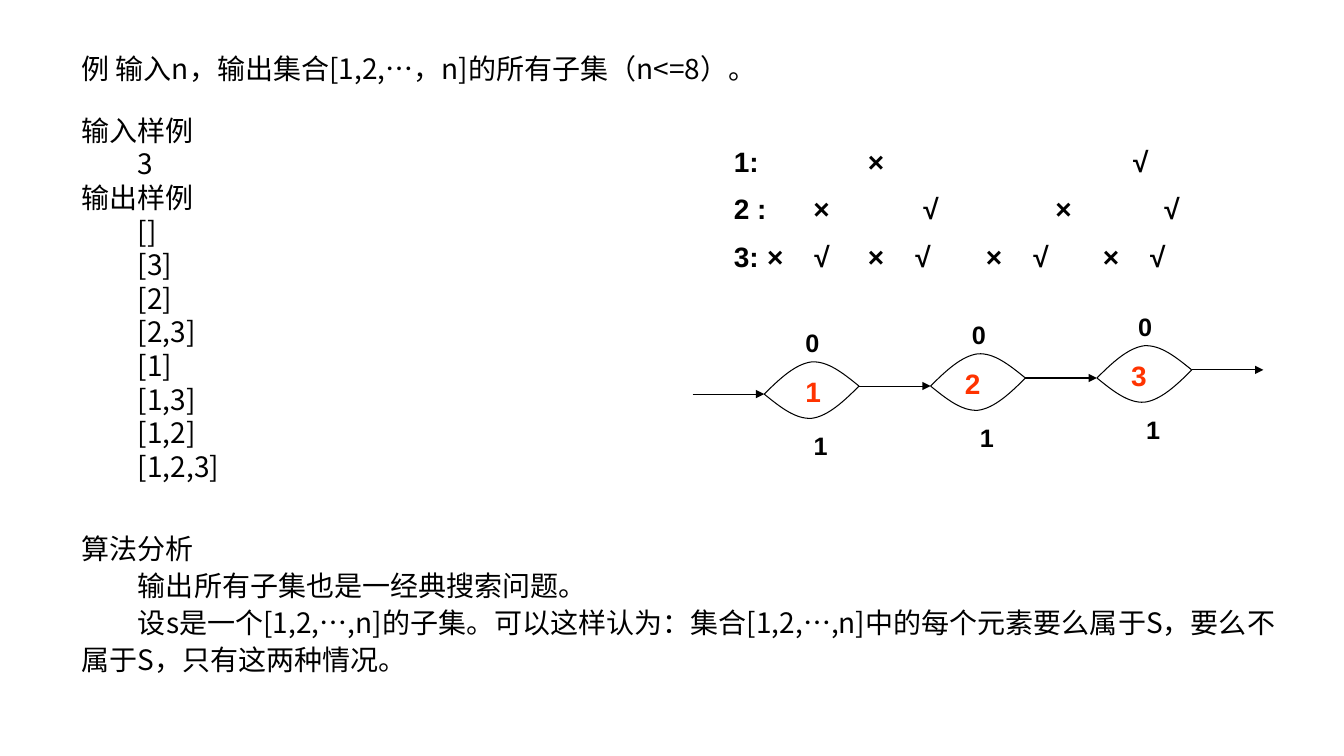
from lxml import etree
from pptx import Presentation, util as u
from pptx.dml.color import RGBColor
from pptx.enum import shapes
from pptx.oxml import ns

COLORS = {"ink": "000000", "item": "FF3300"}
CJK, LATIN = "Noto Sans CJK SC", "Arial"
LENS_WIDTH, LENS_RISE = 0.94, 0.08
LENS_LEFTS = [7.58, 9.23, 10.88]
LENS_LEVELS = [3.91, 3.83, 3.75]
LEAD = 0.71
# Two cubic curves from (0, 0): two control points and an end point each.
ARC = [
    [(0.15, -0.15), (0.31, -0.3), (0.47, -0.32)],
    [(0.63, -0.33), (0.78, -0.21), (0.94, -0.08)],
]
ARC_HEIGHT = 0.32

SAMPLE = [
    ("例 输入n，输出集合[1,2,…，n]的所有子集（n<=8）。", 0),
    ("输入样例", 0), ("3", 0.56), ("输出样例", 0),
    *[(subset, 0.56) for subset in
      ("[]", "[3]", "[2]", "[2,3]", "[1]", "[1,3]", "[1,2]", "[1,2,3]")],
]
ANALYSIS = [
    ("算法分析", 0),
    ("输出所有子集也是一经典搜索问题。", 0.56),
    ("设s是一个[1,2,…,n]的子集。可以这样认为：集合[1,2,…,n]中的每个元素"
     "要么属于S，要么不属于S，只有这两种情况。", 0.56),
]
# Each row: its label and the tab positions of its alternating × and √ marks.
CHOICES = [
    ("1:", [1.33, 3.96]),
    ("2 :", [0.79, 1.88, 3.19, 4.27]),
    ("3:", [0.33, 0.8, 1.33, 1.8, 2.5, 2.97, 3.66, 4.13]),
]


def set_font(para, name, size, color="ink", bold=False):
    font = para.font
    font.name, font.size, font.bold = name, u.Pt(size), bold
    font.color.rgb = RGBColor.from_string(COLORS[color])
    for span in para.runs:
        east_asian = etree.SubElement(span._r.get_or_add_rPr(), ns.qn("a:ea"))
        east_asian.set("typeface", name)


def add_box(page, left, top, width, height, wrap=True):
    box = page.shapes.add_textbox(*map(u.Inches, (left, top, width, height)))
    box.text_frame.word_wrap = wrap
    return box.text_frame


def add_lines(frame, lines):
    """Fill the frame with lines, each given with its first-line indent."""
    for index, (line, indent) in enumerate(lines):
        para = frame.paragraphs[0] if index == 0 else frame.add_paragraph()
        para.text = line
        if indent:
            props = para._p.get_or_add_pPr()
            props.set("marL", "0")
            props.set("indent", str(u.Inches(indent)))
        set_font(para, CJK, 20)
    return frame.paragraphs


def add_choices(page):
    frame = add_box(page, 7.18, 1.38, 5.43, 1.45)
    for index, (label, stops) in enumerate(CHOICES):
        para = frame.paragraphs[0] if index == 0 else frame.add_paragraph()
        marks = ["×√"[i % 2] for i in range(len(stops))]
        para.add_run().text = "\t".join([label, *marks])
        if index:
            para.space_before = u.Pt(10)
        tabs = etree.SubElement(para._p.get_or_add_pPr(), ns.qn("a:tabLst"))
        for stop in stops:
            etree.SubElement(tabs, ns.qn("a:tab"), pos=str(u.Inches(stop)), algn="l")
        set_font(para, LATIN, 20, bold=True)


def add_label(page, label, left, top, size, color="ink"):
    width, height = (0.39, 0.44) if size == 20 else (0.32, 0.4)
    para = add_box(page, left, top, width, height).paragraphs[0]
    para.text = label
    set_font(para, LATIN, size, color, bold=True)


def style_line(shape):
    shape.line.color.rgb = RGBColor.from_string(COLORS["ink"])
    shape.line.width = u.Pt(0.75)


def add_arrow(page, left, right, level):
    arrow = page.shapes.add_connector(
        shapes.MSO_CONNECTOR.STRAIGHT,
        *map(u.Inches, (left, level, right, level)))
    style_line(arrow)
    etree.SubElement(arrow.line._get_or_add_ln(), ns.qn("a:tailEnd"), type="triangle")
    etree.SubElement(arrow._element.spPr, ns.qn("a:effectLst"))


def add_arc(page, left, level):
    """Outline the arc's end points, then bend each segment into a cubic."""
    builder = page.shapes.build_freeform(u.Inches(left), u.Inches(level))
    ends = [(u.Inches(left + x), u.Inches(level + y)) for *_, (x, y) in ARC]
    builder.add_line_segments(ends, close=False)
    arc = builder.convert_to_shape()
    segments = list(arc._element.iter(ns.qn("a:lnTo")))
    for segment, points in zip(segments, ARC):
        segment.tag = ns.qn("a:cubicBezTo")
        segment.clear()
        for x, y in points:
            etree.SubElement(segment, ns.qn("a:pt"), x=str(u.Inches(x)),
                             y=str(u.Inches(y + ARC_HEIGHT)))
    arc.fill.background()
    arc.shadow.inherit = False
    style_line(arc)
    return arc


def add_lens(page, left, level):
    add_arc(page, left, level)
    lower = add_arc(page, left, level)
    lower.top = u.Inches(level - LENS_RISE)
    lower.rotation = 180


def add_chain(page):
    chain = page.shapes.add_group_shape()
    add_arrow(chain, LENS_LEFTS[0] - LEAD, LENS_LEFTS[0], LENS_LEVELS[0])
    for number, (left, level) in enumerate(zip(LENS_LEFTS, LENS_LEVELS), 1):
        add_lens(chain, left, level)
        right = left + LENS_WIDTH
        add_arrow(chain, right, right + LEAD, level - LENS_RISE)
        add_label(chain, "0", left + 0.31, level - 0.71, 18)
        add_label(chain, "1", left + 0.39, level + 0.31, 18)
        shift = 0.31 if number == 1 else 0.24
        add_label(chain, str(number), left + shift, level - 0.24, 20, "item")


def main():
    deck = Presentation()
    deck.slide_width, deck.slide_height = u.Inches(13.33), u.Inches(7.5)
    page = deck.slides.add_slide(deck.slide_layouts[6])
    sample = add_lines(add_box(page, 0.71, 0.43, 10.94, 4.77), SAMPLE)
    sample[0].line_spacing = 1.1
    sample[1].space_before = u.Pt(20)
    add_choices(page)
    add_chain(page)
    for para in add_lines(add_box(page, 0.71, 5.19, 12.22, 1.76), ANALYSIS):
        para.line_spacing = 1.1
    deck.save("out.pptx")


if __name__ == "__main__":
    main()
